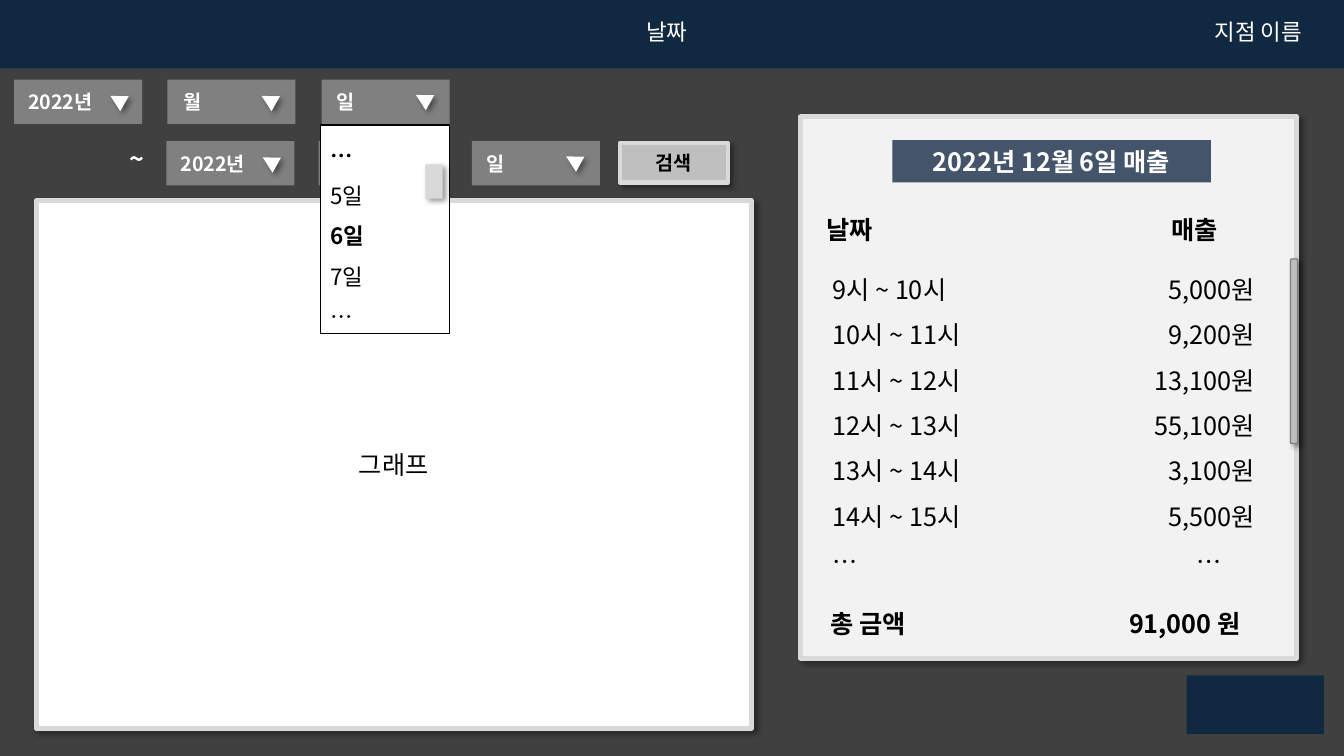
from lxml import etree
from pptx import Presentation
from pptx.dml.color import RGBColor
from pptx.enum import shapes, text
from pptx.oxml import ns
from pptx.util import Inches, Pt

FONT = "Noto Sans CJK KR"
BACK = RGBColor(0x40, 0x40, 0x40)
NAVY = RGBColor(0x10, 0x29, 0x40)
SLATE = RGBColor(0x44, 0x54, 0x6A)
PALE = RGBColor(0xF2, 0xF2, 0xF2)
LIGHT = RGBColor(0xD9, 0xD9, 0xD9)
SILVER = RGBColor(0xBF, 0xBF, 0xBF)
GRAY = RGBColor(0x80, 0x80, 0x80)
WHITE = RGBColor(0xFF, 0xFF, 0xFF)
BLACK = RGBColor(0, 0, 0)
RECT = shapes.MSO_SHAPE.RECTANGLE
LEFT, MID = text.PP_ALIGN.LEFT, text.PP_ALIGN.CENTER

SALES = [
    ("9시 ~ 10시", "5,000원"), ("10시 ~ 11시", "9,200원"),
    ("11시 ~ 12시", "13,100원"), ("12시 ~ 13시", "55,100원"),
    ("13시 ~ 14시", "3,100원"), ("14시 ~ 15시", "5,500원"),
    ("…", "…"),
]
# Tab stop for each length of amount, so that the amounts end in line
STOPS = {1: 3.61, 6: 3.33, 7: 3.19}


def sub(node, tag, **attrs):
    """Add a drawing element under a node."""
    return etree.SubElement(node, ns.qn(tag), attrs)


def shade(shape):
    """Cast a soft shadow to the lower right."""
    fx = shape._element.spPr.find(ns.qn("a:effectLst"))
    cast = sub(fx, "a:outerShdw", blurRad=str(Pt(4)), dist=str(Pt(3)),
               dir="2700000", algn="tl", rotWithShape="0")
    color = sub(cast, "a:srgbClr", val="000000")
    sub(color, "a:alpha", val="40000")


def block(home, box, fill, line=None, width=1, kind=RECT, dark=False):
    """Draw a filled shape, with an optional line and shadow."""
    shape = home.add_shape(kind, *map(Inches, box))
    shape.shadow.inherit = False
    shape.fill.solid()
    shape.fill.fore_color.rgb = fill
    if line is None:
        shape.line.fill.background()
    else:
        shape.line.color.rgb = line
        shape.line.width = Pt(width)
    if dark:
        shade(shape)
    return shape


def write(shape, rows, size, color, bold=False, align=LEFT, space=None):
    """Write one paragraph per row; a row is a string or (string, bold)."""
    frame = shape.text_frame
    for i, row in enumerate(rows):
        words, heavy = (row, bold) if isinstance(row, str) else row
        para = frame.paragraphs[0] if i == 0 else frame.add_paragraph()
        para.alignment = align
        if space:
            para.line_spacing = space
        run = para.add_run()
        run.text = words
        font = run.font
        font.name, font.size, font.bold = FONT, Pt(size), heavy
        font.color.rgb = color
        sub(run._r.get_or_add_rPr(), "a:ea", typeface=FONT)
    return frame


def label(home, box, rows, size, color, wrap=False, **style):
    """Place a plain text box."""
    shape = home.add_textbox(*map(Inches, box))
    shape.text_frame.word_wrap = wrap
    return write(shape, rows, size, color, **style)


def tab(para, pos):
    """Set one left tab stop on a paragraph."""
    stops = sub(para._p.get_or_add_pPr(), "a:tabLst")
    sub(stops, "a:tab", pos=str(Inches(pos)), algn="l")


def header(home, x, y, w, h):
    """Draw the top bar with the date and branch name."""
    block(home, (x, y, w, h), NAVY)
    label(home, (x + w - 1.38, y + 0.13, 1.18, 0.37), ["지점 이름"], 16, WHITE)
    label(home, (x + 6.31, y + 0.13, 0.65, 0.37), ["날짜"], 16, WHITE)


def report(home, x, y, w, h):
    """Draw the sales panel with its hourly rows and total."""
    block(home, (x, y, w, h), PALE, LIGHT, 3.5, dark=True)
    head = label(home, (x + 0.16, y + 0.92, 4.51, 0.4), ["날짜\t매출"],
                 18, BLACK, wrap=True, bold=True)
    tab(head.paragraphs[0], 3.42)
    total = label(home, (x + 0.2, y + 4.83, 4.52, 0.4),
                  ["총 금액\t91,000 원"], 18, BLACK, wrap=True, bold=True)
    tab(total.paragraphs[0], 2.96)
    title = block(home, (x + 0.91, y + 0.23, 3.16, 0.42), SLATE)
    write(title, ["2022년 12월 6일 매출"], 18, WHITE, bold=True, align=MID)
    rows = ["\t".join(pair) for pair in SALES]
    body = label(home, (x + 0.22, y + 1.36, 4.46, 3.22), rows, 18, BLACK,
                 wrap=True, space=1.5)
    for para, (_, price) in zip(body.paragraphs, SALES):
        tab(para, STOPS[len(price)])
    block(home, (x + 4.86, y + 1.41, 0.07, 1.83), SILVER, GRAY,
          kind=shapes.MSO_SHAPE.ROUNDED_RECTANGLE, dark=True)


def graph(home, x, y, w, h):
    """Draw the empty graph panel."""
    panel = block(home, (x, y, w, h), WHITE, LIGHT, 3.5, dark=True)
    write(panel, ["그래프"], 18, BLACK, align=MID)


def picker(home, x, y, w, h, words, inset, dx, dy):
    """Draw one closed drop-down with its arrow."""
    group = home.add_group_shape().shapes
    field = block(group, (x, y, w, h), GRAY)
    field.text_frame.margin_left = Inches(inset)
    write(field, [words], 14, WHITE, bold=True)
    arrow = block(group, (x + dx, y + dy, 0.17, 0.16), WHITE,
                  kind=shapes.MSO_SHAPE.ISOSCELES_TRIANGLE, dark=True)
    arrow.rotation = 299.2


def filters(home, x, y):
    """Draw the date range pickers and the search button."""
    search = block(home, (x + 6.01, y + 0.63, 1.07, 0.39), SILVER, LIGHT,
                   3.25, dark=True)
    write(search, ["검색"], 14, BLACK, bold=True, align=MID)
    label(home, (x + 1.05, y + 0.58, 0.38, 0.4), ["~"], 18, WHITE, bold=True)
    parts = (("2022년", 0.14, 0.94, 0.12), ("월", 0.16, 0.92, 0.12),
             ("일", 0.15, 0.92, 0.11))
    for top, lefts in ((0, (0, 1.52, 3.05)), (0.61, (1.51, 3.02, 4.54))):
        for left, part in zip(lefts, parts):
            picker(home, x + left, y + top, 1.27, 0.44, *part)


def menu(home, x, y, w, h):
    """Draw the open day list with its scroll thumb."""
    panel = block(home, (x, y, w, h), WHITE, BLACK)
    days = [("…", True), "5일", ("6일", True), "7일", "…"]
    write(panel, days, 16, BLACK, space=1.5)
    block(home, (x + 1.04, y + 0.39, 0.17, 0.34), LIGHT, dark=True)


def main():
    """Build the sales screen and save it."""
    deck = Presentation()
    deck.slide_width, deck.slide_height = Inches(13.33), Inches(7.5)
    slide = deck.slides.add_slide(deck.slide_layouts[6])
    slide.background.fill.solid()
    slide.background.fill.fore_color.rgb = BACK
    home = slide.shapes
    header(home, 0, 0, 13.33, 0.68)
    report(home, 7.94, 1.16, 4.92, 5.37)
    block(home, (11.77, 6.7, 1.36, 0.58), NAVY)
    graph(home, 0.36, 1.99, 7.09, 5.24)
    filters(home, 0.14, 0.79)
    menu(home, 3.18, 1.24, 1.28, 2.07)
    deck.save("out.pptx")


main()
